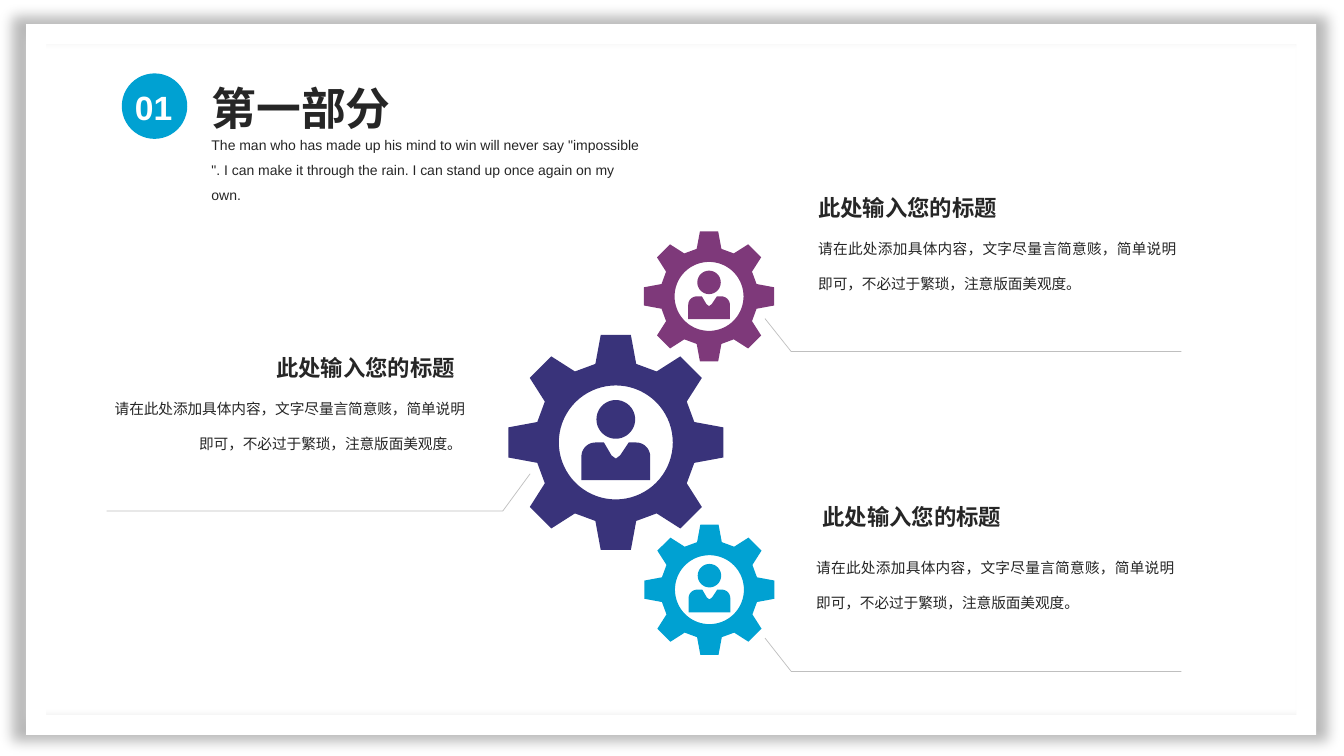
from dataclasses import dataclass
from math import cos, pi, sin

from lxml import etree
from pptx import Presentation
from pptx.dml.color import RGBColor
from pptx.enum.shapes import MSO_SHAPE
from pptx.enum.text import MSO_ANCHOR, MSO_AUTO_SIZE, PP_ALIGN
from pptx.oxml.ns import qn
from pptx.shapes.base import BaseShape
from pptx.util import Cm, Pt

Point = tuple[float, float]

FRAME, OVAL = MSO_SHAPE.FRAME, MSO_SHAPE.OVAL
LEFT, RIGHT, JUSTIFY = PP_ALIGN.LEFT, PP_ALIGN.RIGHT, PP_ALIGN.JUSTIFY
TOP, FIT = MSO_ANCHOR.TOP, MSO_AUTO_SIZE.SHAPE_TO_FIT_TEXT

WHITE = RGBColor(0xFF, 0xFF, 0xFF)
INK = RGBColor(0x26, 0x26, 0x26)
GREY = RGBColor(0xBF, 0xBF, 0xBF)
CYAN = RGBColor(0x00, 0xA1, 0xD2)
PURPLE = RGBColor(0x7E, 0x39, 0x7A)
INDIGO = RGBColor(0x39, 0x33, 0x7A)

FONT = "Arial"
HEADING = "此处输入您的标题"
DETAIL = "请在此处添加具体内容，文字尽量言简意赅，简单说明即可，不必过于繁琐，注意版面美观度。"

# A quarter of the gear's outline, for a gear of radius 1
GEAR_QUARTER: list[Point] = [
    (0.14, -1), (0.19, -0.73), (0.38, -0.66), (0.6, -0.8),
    (0.8, -0.6), (0.66, -0.38), (0.73, -0.19), (1, -0.14),
]


@dataclass
class TextStyle:
    size: float
    bold: bool = False
    color: RGBColor = INK
    align: PP_ALIGN = LEFT
    spacing: float | Pt | None = None
    inset: Point = (0.25, 0.13)
    wrap: bool = True


@dataclass
class Topic:
    color: RGBColor
    center: Point
    radius: float
    leader: list[Point]
    heading_at: Point
    detail_at: Point
    detail: str = DETAIL
    align: PP_ALIGN = JUSTIFY


TOPICS = [
    Topic(CYAN, (17.88, 14.86), 1.64, [(19.28, 16.08), (19.94, 16.92), (29.77, 16.92)],
          (20.4, 12.5), (20.24, 13.46)),
    Topic(PURPLE, (17.87, 7.47), 1.64, [(19.28, 8.03), (19.94, 8.86), (29.77, 8.86)],
          (20.29, 4.7), (20.29, 5.44)),
    Topic(INDIGO, (15.52, 11.15), 2.71, [(13.36, 11.94), (12.67, 12.88), (2.69, 12.88)],
          (6.63, 8.74), (2.36, 9.47), DETAIL + " ", RIGHT),
]


def arc(x: float, y: float, radius: float, start: float, end: float, steps: int) -> list[Point]:
    """Points along an arc, with angles in half turns."""
    angles = [pi * (start + (end - start) * i / steps) for i in range(steps + 1)]
    return [(x + radius * cos(a), y + radius * sin(a)) for a in angles]


def gear_outline() -> list[Point]:
    outline, quarter = [], GEAR_QUARTER
    for _ in range(4):
        outline += quarter
        quarter = [(-y, x) for x, y in quarter]
    return outline


GEAR = [gear_outline(), arc(0, 0, 0.53, 0, 2, 72)]
PERSON = [
    arc(0, -0.215, 0.18, 0, 2, 48),
    [(-0.32, 0.35), *arc(-0.19, 0.13, 0.13, 1, 1.5, 10), (-0.11, 0),
     (-0.04, 0.12), (0, 0.15), (0.04, 0.12), (0.12, 0),
     *arc(0.19, 0.13, 0.13, 1.5, 2, 10), (0.32, 0.35)],
]


def paint(shape: BaseShape, color: RGBColor) -> None:
    shape.shadow.inherit = False
    shape.fill.solid()
    shape.fill.fore_color.rgb = color
    shape.line.fill.background()


def draw_contours(contours: list[list[Point]], center: Point, radius: float, color: RGBColor) -> None:
    placed = [[(Cm(center[0] + x * radius), Cm(center[1] + y * radius)) for x, y in contour]
              for contour in contours]
    builder = slide.shapes.build_freeform(*placed[0][0])
    builder.add_line_segments(placed[0][1:], close=True)
    for contour in placed[1:]:
        builder.move_to(*contour[0])
        builder.add_line_segments(contour[1:], close=True)
    paint(builder.convert_to_shape(), color)


def draw_leader(points: list[Point]) -> None:
    start, *rest = [(Cm(x), Cm(y)) for x, y in points]
    builder = slide.shapes.build_freeform(*start)
    builder.add_line_segments(rest, close=False)
    leader = builder.convert_to_shape()
    leader.shadow.inherit = False
    leader.fill.background()
    leader.line.color.rgb = GREY
    leader.line.width = Pt(0.5)


def write(shape: BaseShape, text: str, style: TextStyle) -> None:
    frame = shape.text_frame
    frame.word_wrap, frame.auto_size, frame.vertical_anchor = style.wrap, FIT, TOP
    frame.margin_left = frame.margin_right = Cm(style.inset[0])
    frame.margin_top = frame.margin_bottom = Cm(style.inset[1])
    paragraph = frame.paragraphs[0]
    paragraph.text = text
    paragraph.alignment = style.align
    paragraph.line_spacing = style.spacing
    font = paragraph.font
    font.name, font.size, font.bold = FONT, Pt(style.size), style.bold
    font.color.rgb = style.color


def add_text(at: Point, size: Point, text: str, style: TextStyle) -> None:
    box = slide.shapes.add_textbox(Cm(at[0]), Cm(at[1]), Cm(size[0]), Cm(size[1]))
    write(box, text, style)


def add_glow(shape: BaseShape) -> None:
    """Soft shadow, slightly larger than the shape, on every side."""
    effects = shape.element.spPr.find(qn("a:effectLst"))
    shadow = etree.SubElement(effects, qn("a:outerShdw"), blurRad=str(Pt(9)), sx="102000",
                              sy="102000", algn="ctr", rotWithShape="0")
    black = etree.SubElement(shadow, qn("a:srgbClr"), val="000000")
    etree.SubElement(black, qn("a:alpha"), val="27000")


prs = Presentation()
prs.slide_width, prs.slide_height = Cm(33.87), Cm(19.05)
slide = prs.slides.add_slide(prs.slide_layouts[5])

# Page border
border = slide.shapes.add_shape(FRAME, Cm(0.66), Cm(0.61), Cm(32.51), Cm(17.91))
border.adjustments[0] = 0.028
paint(border, WHITE)
add_glow(border)

# Section header
title = slide.shapes.title
title.left, title.top, title.width, title.height = Cm(5.08), Cm(1.63), Cm(8.1), Cm(1.78)
write(title, "第一部分", TextStyle(32, bold=True, spacing=1.2))
add_text((5.08, 3.1), (11.3, 1.47),
         'The man who has made up his mind to win will never say "impossible ". '
         "I can make it through the rain. I can stand up once again on my own.",
         TextStyle(10, spacing=Pt(18)))
badge = slide.shapes.add_shape(OVAL, Cm(3.07), Cm(1.85), Cm(1.65), Cm(1.65))
paint(badge, CYAN)
add_text((3.15, 2.06), (1.57, 1.27), "01", TextStyle(24, bold=True, color=WHITE))

# Gears with their leaders and captions
for topic in TOPICS:
    for figure in (GEAR, PERSON):
        draw_contours(figure, topic.center, topic.radius, topic.color)
    draw_leader(topic.leader)
    add_text(topic.detail_at, (9.7, 1.98), topic.detail,
             TextStyle(10.5, align=topic.align, spacing=Pt(24.9), inset=(0.33, 0.18)))
    add_text(topic.heading_at, (5.23, 1.02), HEADING,
             TextStyle(16, bold=True, inset=(0.33, 0.18), wrap=False))

prs.save("out.pptx")
